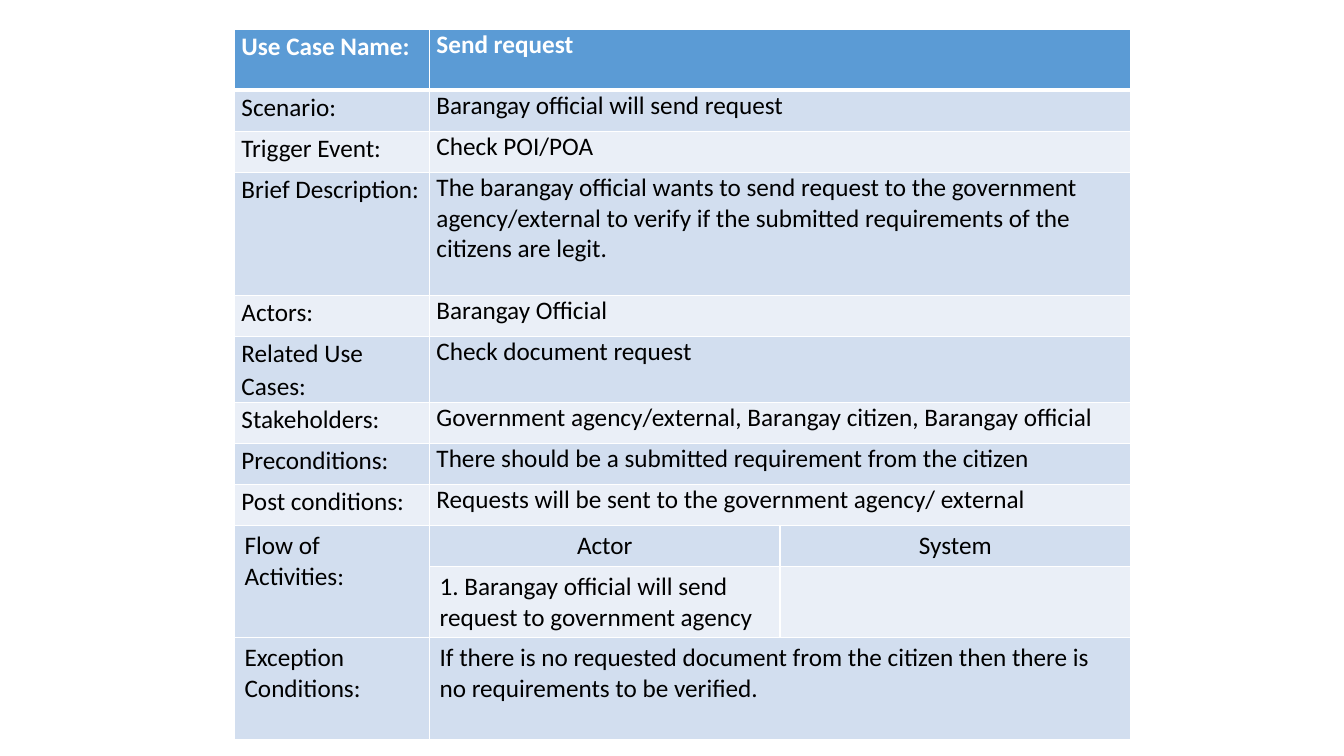
from dataclasses import dataclass

from lxml import etree
from pptx import Presentation
from pptx.dml.color import RGBColor
from pptx.enum.text import PP_ALIGN
from pptx.oxml.ns import qn
from pptx.table import Table, _Cell
from pptx.util import Pt

LEFT, CENTER = PP_ALIGN.LEFT, PP_ALIGN.CENTER
COLORS = {
    "header": "5B9BD5",
    "dark_band": "D2DEEF",
    "light_band": "EAEFF7",
    "border": "FFFFFF",
    "header_text": "FFFFFF",
    "text": "000000",
}
FONT, FONT_SIZE = "Calibri", 18
LABEL_SPACING = 1.07
COLUMN_WIDTHS = (139.3, 250.4, 250.4)
LINE_ROW = 29.3
FLOW_ROW = 9  # the Actor / System heading row


@dataclass
class UseCaseRow:
    texts: tuple[str, ...]  # two texts: the second spans both right columns
    height: float = LINE_ROW
    tight: bool = True  # narrow insets and a looser label


ROWS = [
    UseCaseRow(("Use Case Name:", "Send request"), 43.5),
    UseCaseRow(("Scenario:", "Barangay official will send request")),
    UseCaseRow(("Trigger Event:", "Check POI/POA")),
    UseCaseRow(("Brief Description:",
                "The barangay official wants to send request to the government "
                "agency/external to verify if the submitted requirements of the "
                "citizens are legit."), 87.8),
    UseCaseRow(("Actors:", "Barangay Official")),
    UseCaseRow(("Related Use Cases:", "Check document request"), 47.2),
    UseCaseRow(("Stakeholders:",
                "Government agency/external, Barangay citizen, Barangay official")),
    UseCaseRow(("Preconditions:",
                "There should be a submitted requirement from the citizen")),
    UseCaseRow(("Post conditions:",
                "Requests will be sent to the government agency/ external")),
    UseCaseRow(("Flow of Activities:", "Actor", "System"), tight=False),
    UseCaseRow(("", "1. Barangay official will send request to government agency",
                ""), 51, tight=False),
    UseCaseRow(("Exception Conditions:",
                "If there is no requested document from the citizen then there is "
                "no requirements to be verified."), 72.5, tight=False),
]


def set_borders(cell: _Cell, top: float, bottom: float) -> None:
    tc_pr = cell._tc.get_or_add_tcPr()
    widths = {"a:lnL": 1, "a:lnR": 1, "a:lnT": top, "a:lnB": bottom}
    for i, (tag, width) in enumerate(widths.items()):
        ln = etree.Element(qn(tag), w=str(Pt(width)))
        fill = etree.SubElement(ln, qn("a:solidFill"))
        etree.SubElement(fill, qn("a:srgbClr"), val=COLORS["border"])
        tc_pr.insert(i, ln)


def style_cell(cell: _Cell, row: int) -> None:
    band = "header" if row == 0 else "dark_band" if row % 2 else "light_band"
    cell.fill.solid()
    cell.fill.fore_color.rgb = RGBColor.from_string(COLORS[band])
    set_borders(cell, top=3 if row == 1 else 1, bottom=3 if row == 0 else 1)
    if ROWS[row].tight:
        cell.margin_left = cell.margin_right = Pt(5)
        cell.margin_top = cell.margin_bottom = Pt(0)


def write_cell(cell: _Cell, text: str, row: int, column: int) -> None:
    p = cell.text_frame.paragraphs[0]
    p.alignment = CENTER if row == FLOW_ROW and column > 0 else LEFT
    if column == 0 and ROWS[row].tight:
        p.line_spacing = LABEL_SPACING
    r = p.add_run()
    r.text = text
    r.font.name = FONT
    r.font.size = Pt(FONT_SIZE)
    r.font.bold = row == 0
    color = COLORS["header_text" if row == 0 else "text"]
    r.font.color.rgb = RGBColor.from_string(color)


def fill_table(table: Table) -> None:
    for column, width in zip(table.columns, COLUMN_WIDTHS):
        column.width = Pt(width)
    for i, row in enumerate(ROWS):
        table.rows[i].height = Pt(row.height)
        for j in range(len(COLUMN_WIDTHS)):
            style_cell(table.cell(i, j), i)
        for j, text in enumerate(row.texts):
            if text:
                write_cell(table.cell(i, j), text, i, j)
        if len(row.texts) == 2:
            table.cell(i, 1).merge(table.cell(i, 2))
    table.cell(FLOW_ROW, 0).merge(table.cell(FLOW_ROW + 1, 0))


def main() -> None:
    prs = Presentation()
    prs.slide_width, prs.slide_height = Pt(960), Pt(540)
    s = prs.slides.add_slide(prs.slide_layouts[6])
    frame = s.shapes.add_table(
        len(ROWS), len(COLUMN_WIDTHS), Pt(167.5), Pt(21),
        Pt(sum(COLUMN_WIDTHS)), Pt(sum(row.height for row in ROWS)))
    fill_table(frame.table)
    prs.save("out.pptx")


if __name__ == "__main__":
    main()
